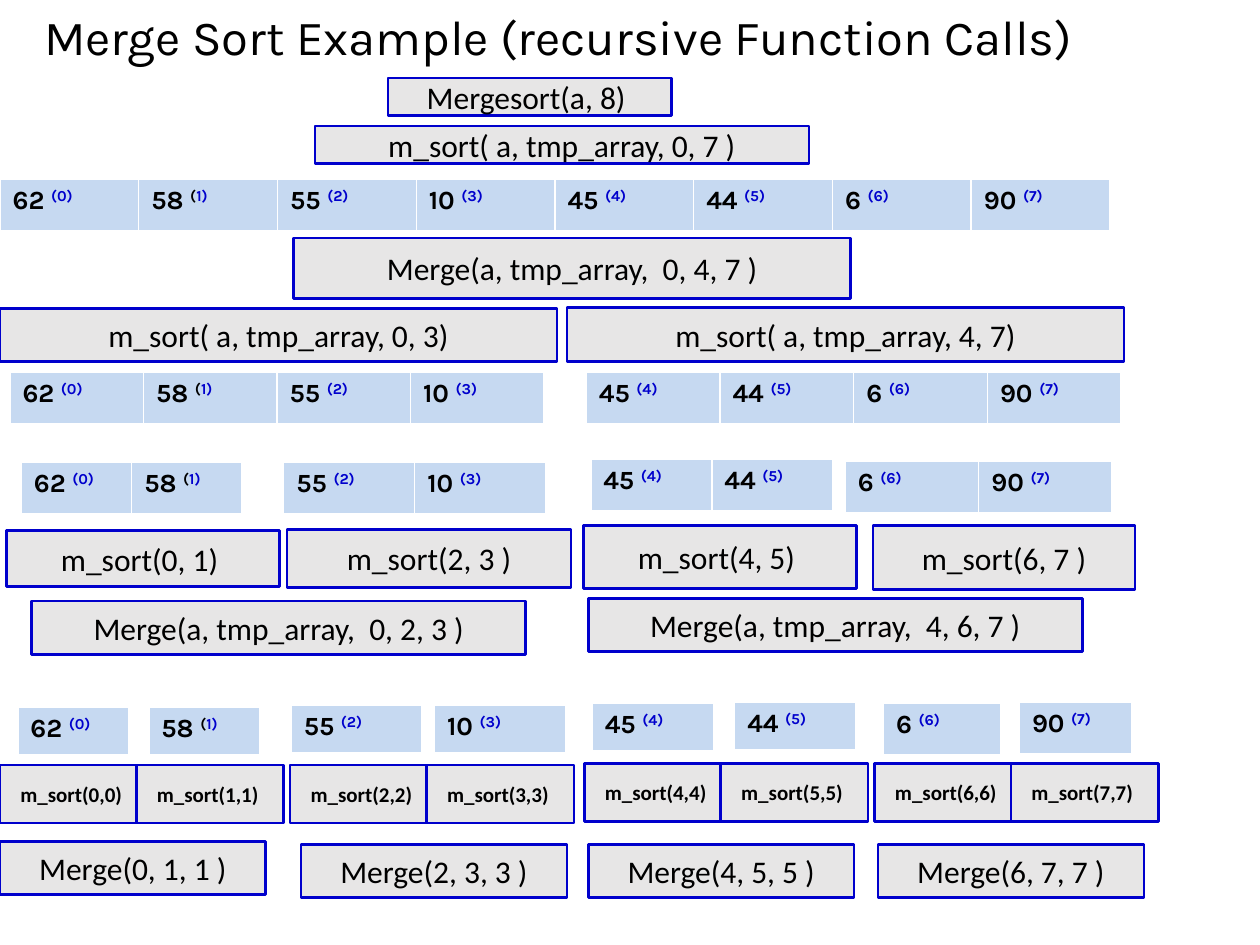
from lxml import etree
from pptx import Presentation, util as u
from pptx.dml.color import RGBColor
from pptx.enum import shapes, text
from pptx.oxml import ns

BLACK = RGBColor(0x00, 0x00, 0x00)
BLUE = RGBColor(0x00, 0x00, 0xCC)
GREY = RGBColor(0xE7, 0xE6, 0xE6)
PALE_BLUE = RGBColor(0xC6, 0xD9, 0xF1)
WHITE = RGBColor(0xFF, 0xFF, 0xFF)

VALUES = [62, 58, 55, 10, 45, 44, 6, 90]

CALLS = [
    ("Mergesort(a, 8) ", 7.82, 1.57, 5.72, 0.76),
    (" m_sort( a, tmp_array, 0, 7 ) ", 6.35, 2.54, 9.96, 0.76),
    ("Merge(a, tmp_array,  0, 4, 7 )", 5.92, 4.8, 11.23, 1.22),
    ("m_sort( a, tmp_array, 0, 3)", 0, 6.22, 11.23, 1.07),
    ("m_sort( a, tmp_array, 4, 7)", 11.43, 6.2, 11.23, 1.09),
    ("m_sort(0, 1) ", 0.13, 10.69, 5.51, 1.14),
    ("m_sort(2, 3 )", 5.79, 10.67, 5.72, 1.17),
    ("m_sort(4, 5) ", 11.76, 10.59, 5.51, 1.27),
    ("m_sort(6, 7 )", 17.6, 10.59, 5.28, 1.3),
    ("Merge(a, tmp_array,  0, 2, 3 )", 0.64, 12.12, 9.96, 1.07),
    ("Merge(a, tmp_array,  4, 6, 7 )", 11.86, 12.07, 9.96, 1.07),
]

# first index, number of values, left, top, width, height
ARRAYS = [
    (0, 8, 0, 3.61, 22.38, 1.07),
    (0, 4, 0.2, 7.5, 10.77, 1.07),
    (4, 4, 11.82, 7.5, 10.78, 1.07),
    (0, 2, 0.43, 9.32, 4.45, 1.07),
    (2, 2, 5.72, 9.32, 5.28, 1.07),
    (4, 2, 11.91, 9.25, 4.88, 1.07),
    (6, 2, 17.04, 9.3, 5.38, 1.07),
    (0, 1, 0.36, 14.25, 2.23, 0.99),
    (1, 1, 3, 14.25, 2.23, 0.99),
    (2, 1, 5.87, 14.22, 2.64, 0.99),
    (3, 1, 8.76, 14.22, 2.64, 0.99),
    (4, 1, 11.94, 14.17, 2.44, 0.99),
    (5, 1, 14.81, 14.15, 2.44, 0.99),
    (6, 1, 17.81, 14.17, 2.36, 1.07),
    (7, 1, 20.55, 14.15, 2.26, 1.07),
]

# left and top of each pair of single-value calls, left and top of its merge
PAIRS = [
    (0, 15.42, 0, 16.97),
    (5.85, 15.42, 6.07, 17.02),
    (11.78, 15.39, 11.86, 17.02),
    (17.63, 15.39, 17.7, 17.02),
]


class Painter:
    """Draws the slide elements in one shared style."""

    def __init__(self, page):
        self.page = page
        self.heading_font = "Karla"
        self.call_font = "Calibri"

    def add_span(self, para, words, font, size, colour=BLACK, bold=False, raised=False):
        span = para.add_run()
        span.text = words
        span.font.name = font
        span.font.size = u.Pt(size)
        span.font.bold = bold
        span.font.color.rgb = colour
        if raised:
            span.font._element.set("baseline", "30000")

    def title(self, words, left, top, width, height):
        box = self.page.shapes.title
        box.left, box.top = u.Cm(left), u.Cm(top)
        box.width, box.height = u.Cm(width), u.Cm(height)
        frame = box.text_frame
        frame.auto_size = text.MSO_AUTO_SIZE.NONE
        frame.vertical_anchor = text.MSO_ANCHOR.BOTTOM
        para = frame.paragraphs[0]
        para.alignment = text.PP_ALIGN.LEFT
        para.line_spacing = 0.9
        self.add_span(para, words, self.heading_font, 28)

    def call(self, words, left, top, width, height, size=18, bold=False):
        box = self.page.shapes.add_shape(
            shapes.MSO_SHAPE.RECTANGLE, u.Cm(left), u.Cm(top), u.Cm(width), u.Cm(height))
        box.shadow.inherit = False
        box.fill.solid()
        box.fill.fore_color.rgb = GREY
        box.line.color.rgb = BLUE
        box.line.width = u.Pt(1.5)
        box.text_frame.word_wrap = True
        box.text_frame.vertical_anchor = text.MSO_ANCHOR.MIDDLE
        para = box.text_frame.paragraphs[0]
        para.alignment = text.PP_ALIGN.CENTER
        self.add_span(para, words, self.call_font, size, bold=bold)

    def border(self, cell):
        properties = cell._tc.get_or_add_tcPr()
        for position, (side, points) in enumerate((("L", 1), ("R", 1), ("T", 1), ("B", 3))):
            line = etree.Element(ns.qn(f"a:ln{side}"), w=str(u.Pt(points)))
            fill = etree.SubElement(line, ns.qn("a:solidFill"))
            etree.SubElement(fill, ns.qn("a:srgbClr"), val=str(WHITE))
            properties.insert(position, line)

    def array(self, first, count, left, top, width, height):
        table = self.page.shapes.add_table(
            1, count, u.Cm(left), u.Cm(top), u.Cm(width), u.Cm(height)).table
        for index, cell in enumerate(table.rows[0].cells, first):
            cell.fill.solid()
            cell.fill.fore_color.rgb = PALE_BLUE
            self.border(cell)
            para = cell.text_frame.paragraphs[0]
            bracket_colour = BLACK if index == 1 else BLUE
            self.add_span(para, f"{VALUES[index]} ", self.heading_font, 15, bold=True)
            for words, colour in (("(", bracket_colour), (f"{index})", BLUE)):
                self.add_span(para, words, self.heading_font, 15, colour, bold=True, raised=True)


def main():
    deck = Presentation()
    deck.slide_width, deck.slide_height = u.Cm(25.4), u.Cm(19.05)
    painter = Painter(deck.slides.add_slide(deck.slide_layouts[5]))
    painter.title("Merge Sort Example (recursive Function Calls)", 0.64, 0, 22.02, 1.45)
    for call in CALLS:
        painter.call(*call)
    for number, (left, top, merge_left, merge_top) in enumerate(PAIRS):
        low, high = 2 * number, 2 * number + 1
        for step, index in enumerate((low, high)):
            painter.call(f"m_sort({index},{index}) ", left + 2.75 * step, top,
                         2.97, 1.17, size=12, bold=True)
        painter.call(f"Merge({low}, {high}, {high} )", merge_left, merge_top, 5.36, 1.07)
    for array in ARRAYS:
        painter.array(*array)
    deck.save("out.pptx")


if __name__ == "__main__":
    main()
